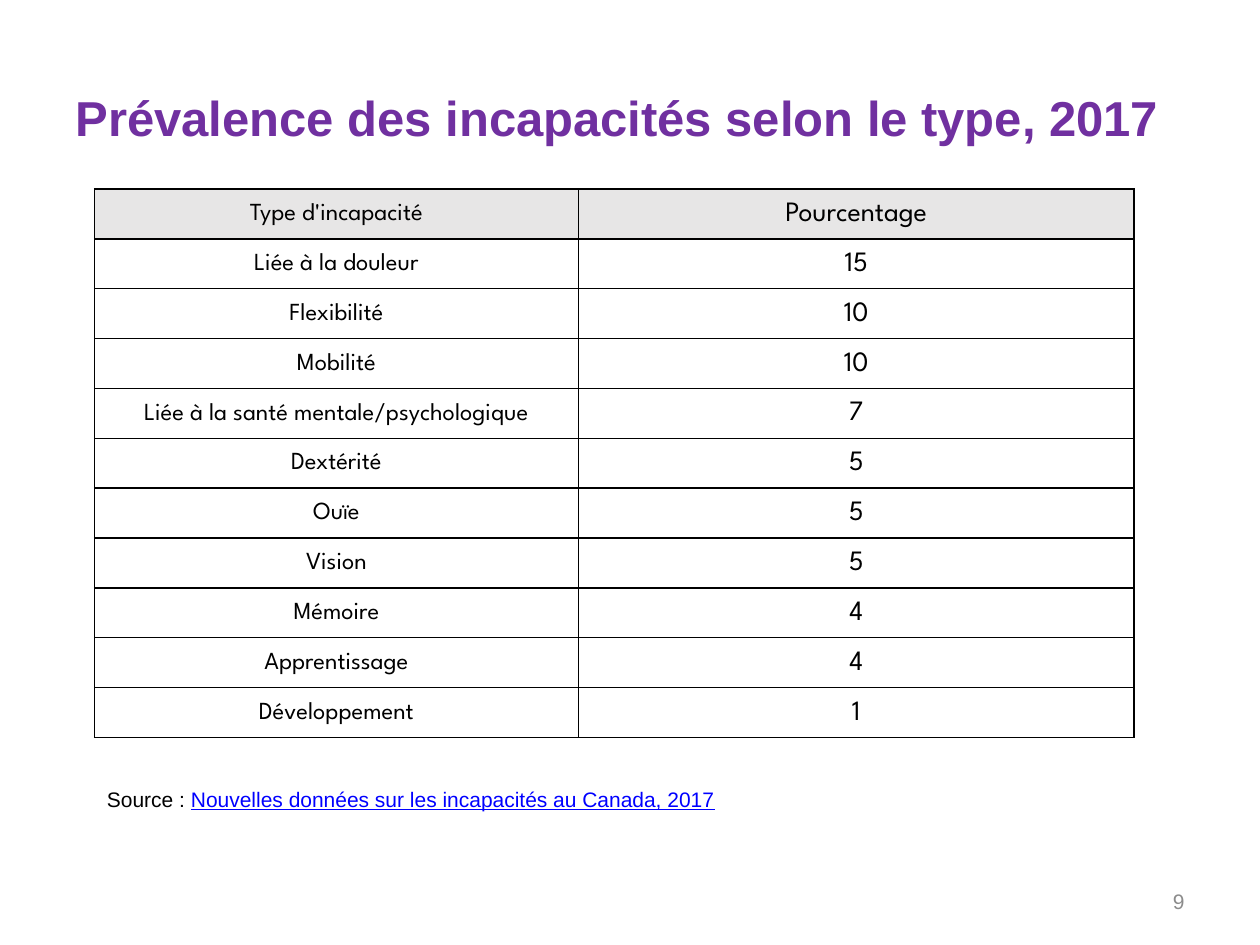
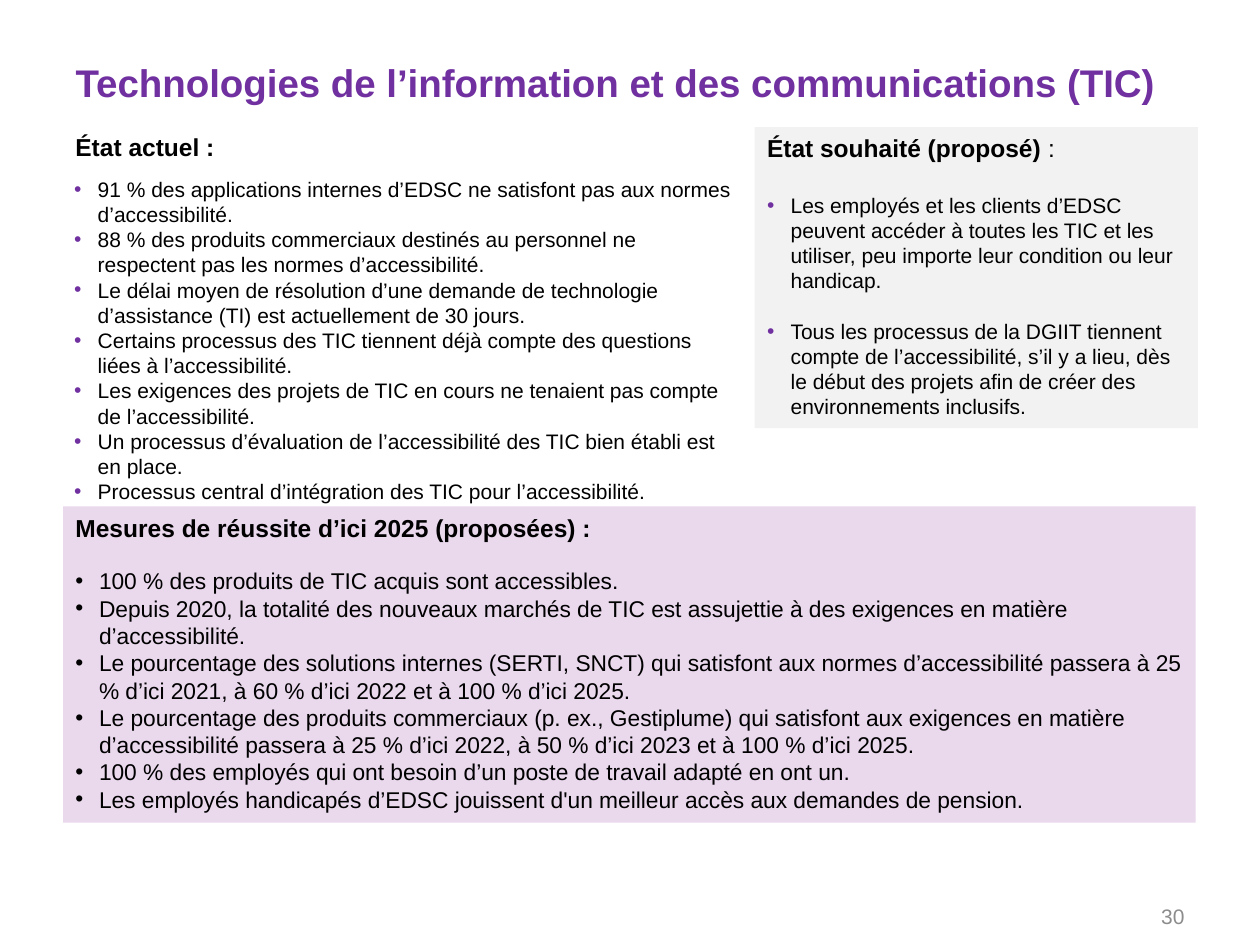
"""Build two slides on disability prevalence and accessible technology."""
from lxml import etree
from pptx import Presentation
from pptx.dml.color import RGBColor
from pptx.enum.shapes import MSO_SHAPE
from pptx.enum.text import MSO_ANCHOR, MSO_AUTO_SIZE, PP_ALIGN
from pptx.oxml.ns import qn
from pptx.util import Pt

LEFT, CENTER, RIGHT = PP_ALIGN.LEFT, PP_ALIGN.CENTER, PP_ALIGN.RIGHT
TOP, MIDDLE = MSO_ANCHOR.TOP, MSO_ANCHOR.MIDDLE
NO_FIT = MSO_AUTO_SIZE.NONE
RECTANGLE = MSO_SHAPE.RECTANGLE
TITLE_ONLY = 5

COLORS = {
    "purple": "7030A0", "black": "000000", "page": "8C8C8C", "link": "0000FF",
    "header": "E7E6E6", "grey": "F2F2F2", "lilac": "EAD8ED",
}
TEXT_FONT, TABLE_FONT = "Arial", "League Spartan"
LINE_RATIO = 1.2
BULLET_INDENT = 13.5

PREVALENCE = {
    "title": ("Prévalence des incapacités selon le type, 2017", 28, (36, 21.6, 648, 90)),
    "page": ("9", 500.4),
    "header": ("Type d'incapacité", "Pourcentage"),
    "rows": [
        ("Liée à la douleur", 15),
        ("Flexibilité", 10),
        ("Mobilité", 10),
        ("Liée à la santé mentale/psychologique", 7),
        ("Dextérité", 5),
        ("Ouïe", 5),
        ("Vision", 5),
        ("Mémoire", 4),
        ("Apprentissage", 4),
        ("Développement", 1),
    ],
    "columns": ((276.5, 14), (317.5, 16)),
    "table_at": (54, 108, 594, 313.5),
    "source": ("Source : ", "Nouvelles données sur les incapacités au Canada, 2017"),
    "source_at": (54, 445.7, 594, 21.8),
}

TECHNOLOGY = {
    "title": ("Technologies de l’information et des communications (TIC)", 22,
              (36, 21.6, 648, 51)),
    "page": ("30", 509),
    "panels": [
        {"at": (36, 72, 400, 25), "heading": ("État actuel :", "")},
        {
            "at": (35.3, 97.2, 393.8, 167), "size": 12, "bullet": "purple",
            "points": [
                "91 % des applications internes d’EDSC ne satisfont pas aux normes d’accessibilité.",
                "88 % des produits commerciaux destinés au personnel ne respectent pas les normes d’accessibilité.",
                "Le délai moyen de résolution d’une demande de technologie d’assistance (TI) est actuellement de 30 jours.",
                "Certains processus des TIC tiennent déjà compte des questions liées à l’accessibilité.",
                "Les exigences des projets de TIC en cours ne tenaient pas compte de l’accessibilité.",
                "Un processus d’évaluation de l’accessibilité des TIC bien établi est en place.",
                "Processus central d’intégration des TIC pour l’accessibilité.",
            ],
        },
        {
            "at": (431.2, 72.7, 253.4, 172), "fill": "grey", "size": 12, "bullet": "purple",
            "heading": ("État souhaité (proposé) ", ":"),
            "first_gap": 16.8, "gap": 14.4,
            "points": [
                "Les employés et les clients d’EDSC peuvent accéder à toutes les TIC et les utiliser, peu importe leur condition ou leur handicap.",
                "Tous les processus de la DGIIT tiennent compte de l’accessibilité, s’il y a lieu, dès le début des projets afin de créer des environnements inclusifs.",
            ],
        },
        {
            "at": (36, 289.4, 647.3, 180.7), "fill": "lilac", "size": 13, "bullet": "black",
            "heading": ("Mesures de réussite d’ici 2025 (proposées) :", ""),
            "first_gap": 14.4,
            "points": [
                "100 % des produits de TIC acquis sont accessibles.",
                "Depuis 2020, la totalité des nouveaux marchés de TIC est assujettie à des exigences en matière d’accessibilité.",
                "Le pourcentage des solutions internes (SERTI, SNCT) qui satisfont aux normes d’accessibilité passera à 25 % d’ici 2021, à 60 % d’ici 2022 et à 100 % d’ici 2025.",
                "Le pourcentage des produits commerciaux (p. ex., Gestiplume) qui satisfont aux exigences en matière d’accessibilité passera à 25 % d’ici 2022, à 50 % d’ici 2023 et à 100 % d’ici 2025.",
                "100 % des employés qui ont besoin d’un poste de travail adapté en ont un.",
                "Les employés handicapés d’EDSC jouissent d'un meilleur accès aux demandes de pension.",
            ],
        },
    ],
}


def rgb(name):
    return RGBColor.from_string(COLORS[name])


def apply(target, values):
    for name, value in values.items():
        setattr(target, name, value)


def place(shape, box):
    apply(shape, dict(zip(("left", "top", "width", "height"), map(Pt, box))))


def add_run(paragraph, text, size, color="black", font=TEXT_FONT, **style):
    run = paragraph.add_run()
    run.text = text
    apply(run.font, {"name": font, "size": Pt(size), "bold": False, **style})
    run.font.color.rgb = rgb(color)


def add_bullet(paragraph, color):
    properties = paragraph._p.get_or_add_pPr()
    indent = Pt(BULLET_INDENT)
    properties.set("marL", str(indent))
    properties.set("indent", str(-indent))
    tint = etree.SubElement(properties, qn("a:buClr"))
    etree.SubElement(tint, qn("a:srgbClr"), val=COLORS[color])
    etree.SubElement(properties, qn("a:buFont"), typeface=TEXT_FONT)
    etree.SubElement(properties, qn("a:buChar"), char="•")


def add_frame(slide, box, fill=None, anchor=TOP):
    if fill:
        shape = slide.shapes.add_shape(RECTANGLE, *map(Pt, box))
        shape.shadow.inherit = False
        shape.fill.solid()
        shape.fill.fore_color.rgb = rgb(fill)
        shape.line.fill.background()
    else:
        shape = slide.shapes.add_textbox(*map(Pt, box))
    apply(shape.text_frame, {"word_wrap": True, "vertical_anchor": anchor, "auto_size": NO_FIT})
    return shape.text_frame


def start_slide(deck, content):
    slide = deck.slides.add_slide(deck.slide_layouts[TITLE_ONLY])
    text, size, box = content["title"]
    title = slide.shapes.title
    place(title, box)
    apply(title.text_frame, {"word_wrap": True, "vertical_anchor": MIDDLE, "auto_size": NO_FIT})
    heading = title.text_frame.paragraphs[0]
    heading.alignment = LEFT
    add_run(heading, text, size, "purple", bold=True)

    number, top = content["page"]
    footer = add_frame(slide, (516, top, 168, 28.8), anchor=MIDDLE).paragraphs[0]
    footer.alignment = RIGHT
    add_run(footer, number, 12, "page")
    return slide


def add_borders(cell):
    properties = cell._tc.get_or_add_tcPr()
    for side in ("lnL", "lnR", "lnT", "lnB"):
        border = etree.SubElement(properties, qn(f"a:{side}"), w=str(Pt(1)))
        fill = etree.SubElement(border, qn("a:solidFill"))
        etree.SubElement(fill, qn("a:srgbClr"), val=COLORS["black"])


def add_prevalence_table(slide, content):
    rows = [content["header"], *content["rows"]]
    columns = content["columns"]
    box = content["table_at"]
    table = slide.shapes.add_table(len(rows), len(columns), *map(Pt, box)).table
    apply(table, {"first_row": False, "horz_banding": False})
    for column, (width, _) in zip(table.columns, columns):
        column.width = Pt(width)
    for r, values in enumerate(rows):
        table.rows[r].height = Pt(box[3] / len(rows))
        for c, (value, (_, size)) in enumerate(zip(values, columns)):
            cell = table.cell(r, c)
            apply(cell, {"vertical_anchor": MIDDLE, "margin_left": Pt(5), "margin_right": Pt(5),
                         "margin_top": 0, "margin_bottom": 0})
            add_borders(cell)
            if r:
                cell.fill.background()
            else:
                cell.fill.solid()
                cell.fill.fore_color.rgb = rgb("header")
            paragraph = cell.text_frame.paragraphs[0]
            apply(paragraph, {"alignment": CENTER, "line_spacing": 1.07})
            add_run(paragraph, str(value), size, font=TABLE_FONT)


def add_panel(slide, panel):
    frame = add_frame(slide, panel["at"], panel.get("fill"))
    points = panel.get("points", [])
    lines = ([panel["heading"]] if "heading" in panel else []) + points
    for i, line in enumerate(lines):
        paragraph = frame.add_paragraph() if i else frame.paragraphs[0]
        is_point = isinstance(line, str)
        size = panel["size"] if is_point else 14
        apply(paragraph, {"alignment": LEFT, "line_spacing": Pt(size * LINE_RATIO)})
        if is_point:
            gap = panel.get("first_gap" if line == points[0] else "gap", 0)
            paragraph.space_before = Pt(gap)
            add_bullet(paragraph, panel["bullet"])
            add_run(paragraph, line, size)
        else:
            strong, plain = line
            add_run(paragraph, strong, size, bold=True)
            if plain:
                add_run(paragraph, plain, size)


def main():
    deck = Presentation()
    apply(deck, {"slide_width": Pt(720), "slide_height": Pt(540)})

    prevalence = start_slide(deck, PREVALENCE)
    add_prevalence_table(prevalence, PREVALENCE)
    label, reference = PREVALENCE["source"]
    source = add_frame(prevalence, PREVALENCE["source_at"]).paragraphs[0]
    add_run(source, label, 12)
    add_run(source, reference, 12, "link", underline=True)

    technology = start_slide(deck, TECHNOLOGY)
    for panel in TECHNOLOGY["panels"]:
        add_panel(technology, panel)

    deck.save("out.pptx")


if __name__ == "__main__":
    main()
